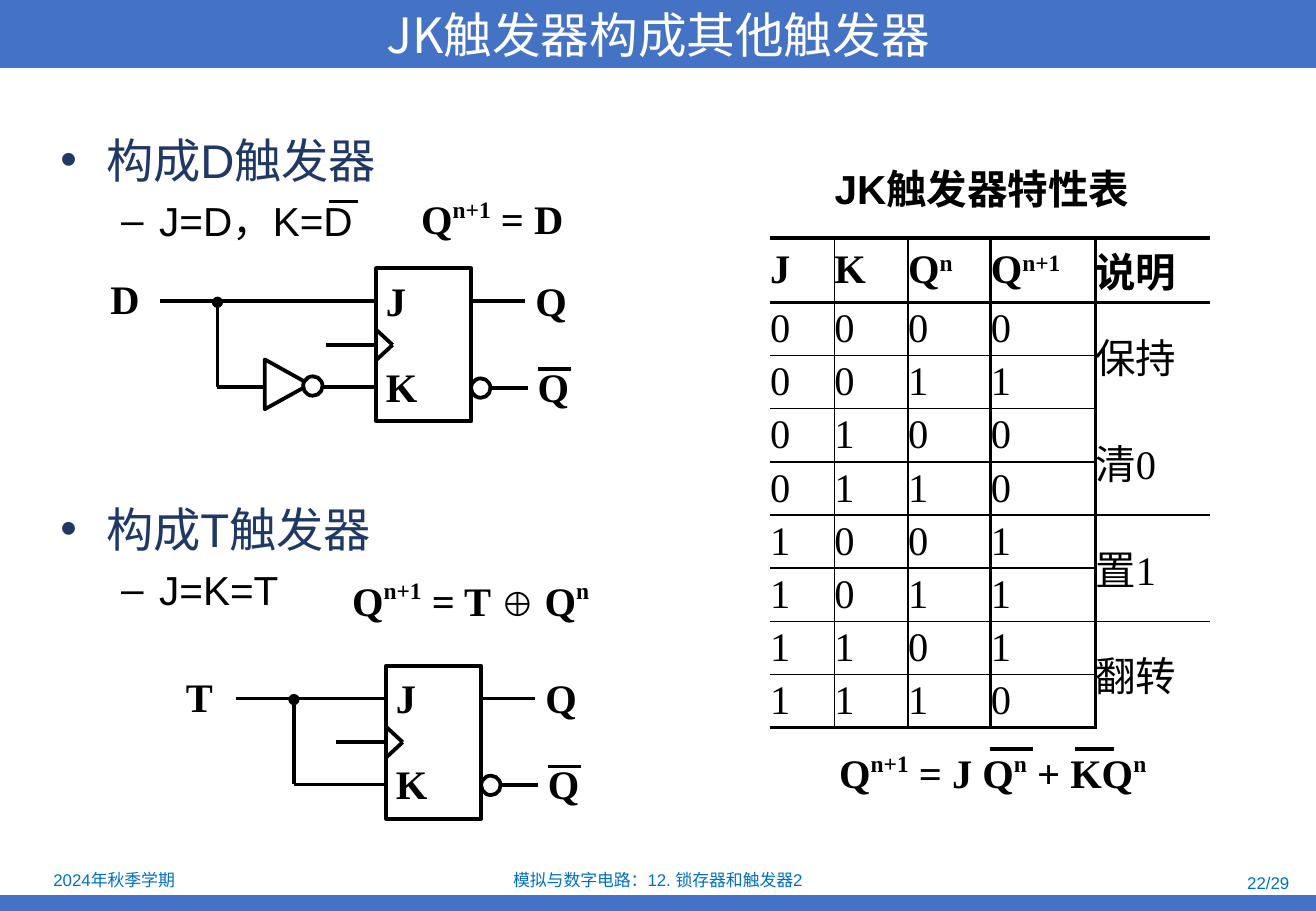
from pptx import Presentation
from pptx.dml.color import RGBColor
from pptx.enum.shapes import MSO_CONNECTOR, MSO_SHAPE as SHAPE
from pptx.enum.text import MSO_ANCHOR as ANCHOR, PP_ALIGN as ALIGN
from pptx.oxml.ns import qn
from pptx.util import Pt
from lxml.etree import SubElement

BLUE = RGBColor(0x44, 0x72, 0xC4)
NAVY = RGBColor(0x20, 0x38, 0x64)
FOOTER = RGBColor(0x00, 0x70, 0xC0)
BLACK = RGBColor(0, 0, 0)
WHITE = RGBColor(0xFF, 0xFF, 0xFF)
SANS, SERIF, CJK = "Arial", "Times New Roman", "Noto Sans CJK SC"
THICK, THIN = 2.25, 1
NO_STYLE = "{2D5ABB26-0587-4C30-8999-92F81FD0307C}"

HEADER = ["J", "K", "Q^n", "Q^n+1", "说明"]
STATES = ["0000", "0011", "0100", "0110", "1001", "1011", "1101", "1110"]
ACTIONS = ["保持", "清0", "置1", "翻转"]


def add_run(p, text, size, font=SERIF, color=BLACK, bold=False, raised=0):
    r = p.add_run()
    r.text = text
    r.font.size, r.font.name, r.font.bold = Pt(size), font, bold
    r.font.color.rgb = color
    rpr = r._r.get_or_add_rPr()
    SubElement(rpr, qn("a:ea")).set("typeface", CJK)
    if raised:
        rpr.set("baseline", str(raised * 1000))


def add_math(p, text, raised, bold=True):
    """Write text in which ^ raises what follows, up to the next |."""
    for part in text.split("|"):
        base, _, power = part.partition("^")
        if base == "⊕":
            add_run(p, base, 20, SANS, bold=bold)
        else:
            add_run(p, base, 24, bold=bold)
        if power:
            add_run(p, power, 24, bold=bold, raised=raised)


def add_box(s, x, y, w, h, anchor=ANCHOR.TOP, align=ALIGN.LEFT):
    tf = s.shapes.add_textbox(Pt(x), Pt(y), Pt(w), Pt(h)).text_frame
    tf.word_wrap = True
    tf.vertical_anchor = anchor
    tf.paragraphs[0].alignment = align
    return tf


def add_formula(s, x, y, w, text):
    add_math(add_box(s, x, y, w, 36).paragraphs[0], text, 40)


def add_solid(s, kind, x, y, w, h, fill=None, line=None):
    sp = s.shapes.add_shape(kind, Pt(x), Pt(y), Pt(w), Pt(h))
    sp.shadow.inherit = False
    if fill is None:
        sp.fill.background()
    else:
        sp.fill.solid()
        sp.fill.fore_color.rgb = fill
    if line is None:
        sp.line.fill.background()
    else:
        sp.line.color.rgb = line
        sp.line.width = Pt(THICK)
    return sp


def add_wire(s, x1, y1, x2, y2, dot=False):
    c = s.shapes.add_connector(MSO_CONNECTOR.STRAIGHT, Pt(x1), Pt(y1), Pt(x2), Pt(y2))
    c.line.color.rgb = BLACK
    c.line.width = Pt(THICK)
    if dot:
        SubElement(c.line._get_or_add_ln(), qn("a:headEnd")).set("type", "oval")
    SubElement(c._element.spPr, qn("a:effectLst"))
    return c


def add_bullets(s, y, heading, detail):
    tf = add_box(s, 28.8, y, 233, 80)
    levels = [("•", heading, 28, NAVY, 27, 27), ("–", detail, 24, BLACK, 58.5, 22.5)]
    for i, (mark, text, size, color, margin, hang) in enumerate(levels):
        p = tf.add_paragraph() if i else tf.paragraphs[0]
        ppr = p._p.get_or_add_pPr()
        ppr.set("marL", str(Pt(margin)))
        ppr.set("indent", str(-Pt(hang)))
        if i:
            p.space_before = Pt(4.8)
        SubElement(ppr, qn("a:buFont")).set("typeface", SANS)
        SubElement(ppr, qn("a:buChar")).set("char", mark)
        add_run(p, text, size, SANS, color)


def set_border(cell, side, width):
    ln = SubElement(cell._tc.get_or_add_tcPr(), qn("a:ln" + side))
    if not width:
        SubElement(ln, qn("a:noFill"))
        return
    ln.set("w", str(Pt(width)))
    fill = SubElement(ln, qn("a:solidFill"))
    SubElement(fill, qn("a:srgbClr")).set("val", str(BLACK))


def add_state_table(s):
    rows, cols = len(STATES) + 1, len(HEADER)
    frame = s.shapes.add_table(rows, cols, Pt(456.5), Pt(141.1), Pt(260.7), Pt(290.2))
    table = frame.table
    table.first_row = table.horz_banding = False
    table._tbl.tblPr.find(qn("a:tableStyleId")).text = NO_STYLE
    for col, width in zip(table.columns, [38.0, 43.8, 49.0, 62.0, 67.9]):
        col.width = Pt(width)
    for i, row in enumerate(table.rows):
        row.height = Pt(31.5 if i else 38.2)

    uprights = [0, THIN, THIN, THICK, THICK, 0]
    levels = [THICK, THICK] + [THIN] * (rows - 2) + [THICK]
    for i in range(rows):
        for j in range(cols):
            cell = table.cell(i, j)
            cell.margin_left = cell.margin_right = 0
            cell.margin_top = cell.margin_bottom = 0
            cell.vertical_anchor = ANCHOR.MIDDLE
            sides = zip("LRTB", uprights[j:j + 2] + levels[i:i + 2])
            for side, width in sides:
                in_merge = j == cols - 1 and i and side == "TB"[i % 2]
                set_border(cell, side, 0 if in_merge else width)
            cell.fill.background()
            p = cell.text_frame.paragraphs[0]
            if i == 0:
                add_math(p, HEADER[j], 30)
            elif j < cols - 1:
                add_run(p, STATES[i - 1][j], 24)
            elif i % 2:
                add_run(p, ACTIONS[i // 2], 24)
    for i in range(1, rows, 2):
        table.cell(i, cols - 1).merge(table.cell(i + 1, cols - 1))


def add_circuit(s, name, x, y, wire_x, tap_x, inverter=False):
    """Draw a JK block at x, y whose input line splits at tap_x."""
    j_y, clock_y, k_y = y + 19.5, y + 45.35, y + 70.4
    block = add_solid(s, SHAPE.RECTANGLE, x, y, 56.2, 90.7, line=BLACK)
    # Inputs
    add_wire(s, wire_x, j_y, x, j_y)
    add_wire(s, tap_x, k_y, x, k_y)
    add_wire(s, tap_x, j_y + 0.6, tap_x, k_y, dot=True)
    add_wire(s, x - 29.8, clock_y, x, clock_y).end_connect(block, 1)
    for end in (-9, 9):
        add_wire(s, x, clock_y + end, x + 9.7, clock_y)
    # Outputs
    add_wire(s, x + 56.2, j_y, x + 88, j_y)
    add_wire(s, x + 58, k_y + 0.5, x + 90, k_y + 0.5)
    add_solid(s, SHAPE.OVAL, x + 56.2, k_y - 5.2, 11.5, 11.5, WHITE, BLACK)
    add_wire(s, x + 95.9, y + 59.8, x + 115.4, y + 59.8)
    if inverter:
        add_solid(s, SHAPE.FLOWCHART_MERGE, x - 67.5, k_y - 15, 29.5, 26.6,
                  WHITE, BLACK).rotation = 270
        add_solid(s, SHAPE.OVAL, x - 43.3, k_y - 6.4, 11.5, 11.5, WHITE, BLACK)
    # Pin names
    for text, left, top in [("J", x - 1.4, y + 0.7), ("K", x - 1.4, y + 51.8),
                            ("Q", x + 87.2, y + 0.7), ("Q", x + 88.6, y + 51.8),
                            (name, wire_x - 36.7, y)]:
        add_run(add_box(s, left, top, 34, 36).paragraphs[0], text, 24, bold=True)


def add_frame(s):
    # Title band, bottom band and footer
    title = add_solid(s, SHAPE.RECTANGLE, 0, 0, 780, 40.3, BLUE)
    title.text_frame.vertical_anchor = ANCHOR.MIDDLE
    p = title.text_frame.paragraphs[0]
    p.alignment = ALIGN.CENTER
    add_run(p, "JK触发器构成其他触发器", 28.8, CJK, WHITE)
    add_solid(s, SHAPE.RECTANGLE, 0, 530.6, 780, 9.4, BLUE)
    for text, x, y, w, align in [
            ("2024年秋季学期", 1.4, 513.8, 132.5, ALIGN.CENTER),
            ("模拟与数字电路：12. 锁存器和触发器2", 266.4, 514, 247, ALIGN.CENTER),
            ("22/29", 589, 515.5, 182.2, ALIGN.RIGHT)]:
        tf = add_box(s, x, y, w, 15.5, ANCHOR.MIDDLE, align)
        add_run(tf.paragraphs[0], text, 10, SANS, FOOTER)


def main():
    prs = Presentation()
    prs.slide_width, prs.slide_height = Pt(780), Pt(540)
    s = prs.slides.add_slide(prs.slide_layouts[6])
    add_frame(s)

    # D flip-flop
    add_bullets(s, 74.2, "构成D触发器", "J=D，K=D")
    add_wire(s, 195.1, 119.5, 212.4, 119.5)
    add_formula(s, 242.6, 111.6, 108, "Q^n+1| = D")
    add_circuit(s, "D", 223, 159.1, 95, 128.9, inverter=True)

    # T flip-flop
    add_bullets(s, 292.9, "构成T触发器", "J=K=T")
    add_formula(s, 201.6, 337.7, 158.4, "Q^n+1| = T |⊕| Q^n")
    add_circuit(s, "T", 229, 394.6, 139.7, 174.2)

    # State table and characteristic equation
    caption = add_box(s, 473, 93.6, 218.2, 36, align=ALIGN.CENTER)
    add_run(caption.paragraphs[0], "JK触发器特性表", 24, SANS, bold=True)
    add_state_table(s)
    add_formula(s, 490.3, 439.9, 204.5, "Q^n+1| = J Q^n| + KQ^n")
    for left, right in [(586.8, 612), (637.2, 660.2)]:
        add_wire(s, left, 444.2, right, 444.2)

    prs.save("out.pptx")


if __name__ == "__main__":
    main()
